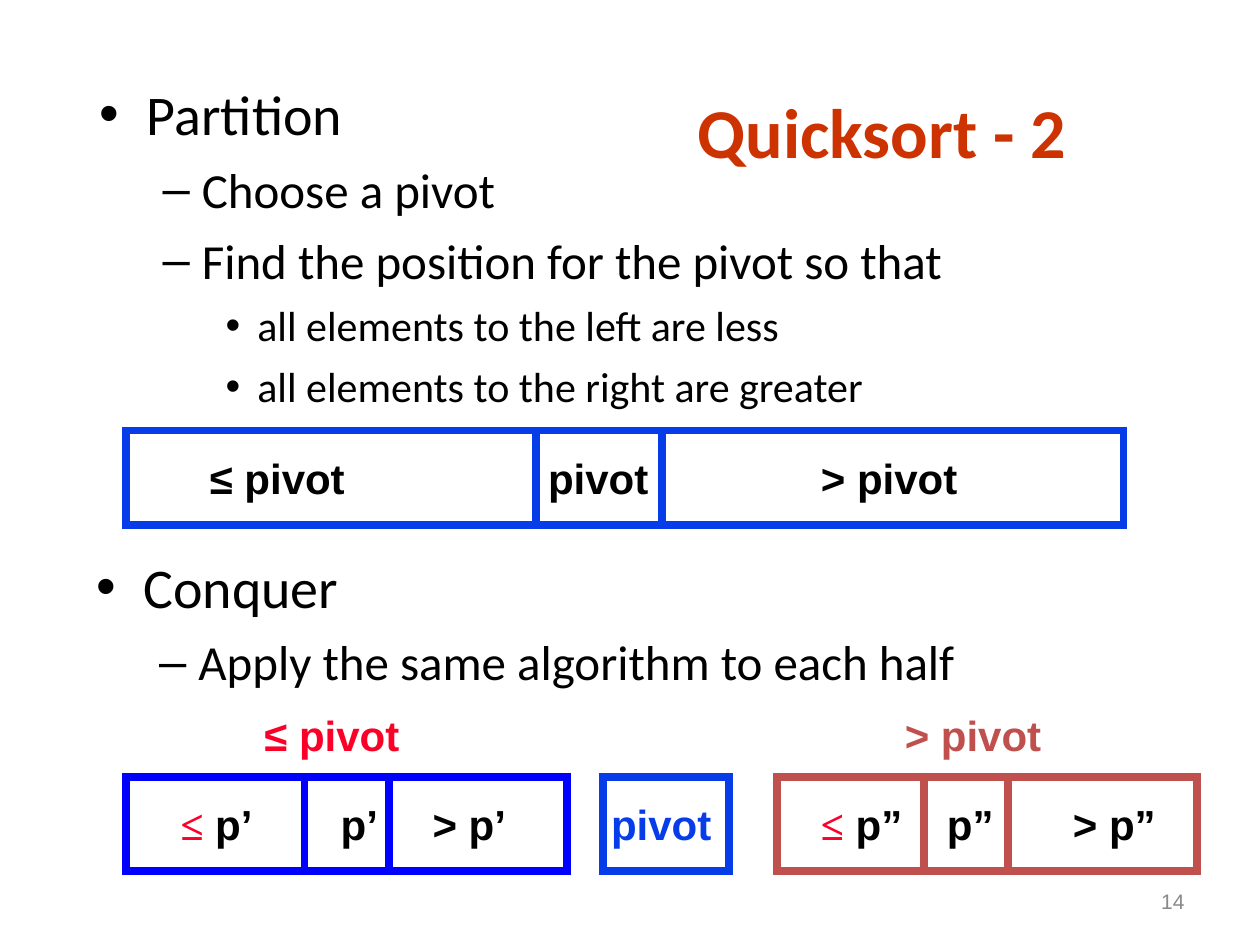
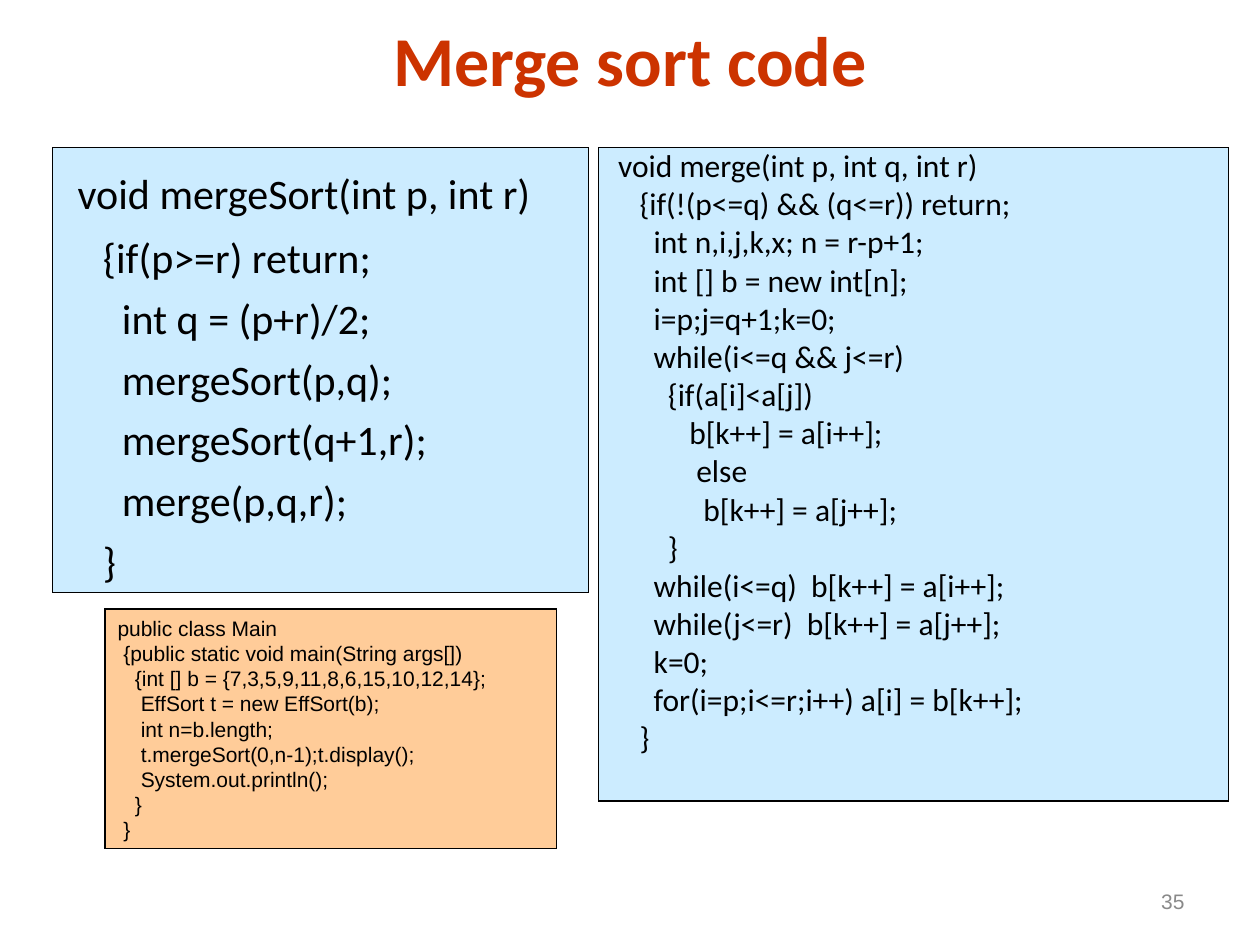
from lxml import etree
from pptx import Presentation
from pptx.dml.color import RGBColor
from pptx.enum.shapes import MSO_SHAPE
from pptx.enum.text import MSO_ANCHOR, PP_ALIGN
from pptx.oxml.ns import qn
from pptx.util import Cm, Pt

RECT = MSO_SHAPE.RECTANGLE
TOP, MIDDLE = MSO_ANCHOR.TOP, MSO_ANCHOR.MIDDLE
LEFT, CENTER, RIGHT = PP_ALIGN.LEFT, PP_ALIGN.CENTER, PP_ALIGN.RIGHT

BLACK = RGBColor(0, 0, 0)
RUST = RGBColor(0xCC, 0x33, 0x00)
BLUE = RGBColor(0x06, 0x3D, 0xE8)
NAVY = RGBColor(0x00, 0x00, 0xFF)
BRICK = RGBColor(0xC0, 0x50, 0x4D)
RED = RGBColor(0xFC, 0x01, 0x28)
GRAY = RGBColor(0x89, 0x89, 0x89)
SKY = RGBColor(0xCC, 0xEC, 0xFF)
PEACH = RGBColor(0xFF, 0xCC, 0x99)

BODY, LABEL, MATH = "Calibri", "Arial", "Times New Roman"
LEVELS = [
    dict(mark="•", size=32, gap=8, inset=0.95, hang=0.95),
    dict(mark="–", size=28, gap=7, inset=2.06, hang=0.79),
    dict(mark="•", size=24, gap=6, inset=3.18, hang=0.64),
]
CELL, DROP, LINE = 1.9, 0.32, 1.27
WIDE, MID, SLIM = 3.6, 2.8, 1.7

SORT = """void mergeSort(int p, int r)
    {if(p>=r) return;
      int q = (p+r)/2;
      mergeSort(p,q);
      mergeSort(q+1,r);
      merge(p,q,r);
    }"""

MERGE = """ void merge(int p, int q, int r)
    {if(!(p<=q) && (q<=r)) return;
      int n,i,j,k,x; n = r-p+1;
      int [] b = new int[n];
      i=p;j=q+1;k=0;
      while(i<=q && j<=r)
        {if(a[i]<a[j])
           b[k++] = a[i++];
            else
             b[k++] = a[j++];
        }
      while(i<=q)  b[k++] = a[i++];
      while(j<=r)  b[k++] = a[j++];
      k=0;
      for(i=p;i<=r;i++) a[i] = b[k++];
    }"""

MAIN = """public class Main
 {public static void main(String args[])
   {int [] b = {7,3,5,9,11,8,6,15,10,12,14};
    EffSort t = new EffSort(b);
    int n=b.length;
    t.mergeSort(0,n-1);t.display();
    System.out.println();
   }
 }"""


def write(frame, text, font=BODY, size=24, color=BLACK, bold=False, align=LEFT,
          gap=0, pitch=None, level=0, mark=None, inset=0, hang=0):
    """Add one paragraph, given as a string or as (string, run format) pairs."""
    first = not frame.paragraphs[0].runs
    para = frame.paragraphs[0] if first else frame.add_paragraph()
    para.alignment, para.level = align, level
    para.space_before = Pt(0 if first else gap)
    if pitch:
        para.line_spacing = pitch
    props = para._p.get_or_add_pPr()
    props.set("marL", str(Cm(inset)))
    props.set("indent", str(-Cm(hang)))
    if mark:
        etree.SubElement(props, qn("a:buFont")).set("typeface", LABEL)
        etree.SubElement(props, qn("a:buChar")).set("char", mark)
    base = dict(font=font, size=size, color=color)
    for part, extra in [(text, {})] if isinstance(text, str) else text:
        look = base | extra
        run = para.add_run()
        run.text = part
        run.font.name, run.font.size = look["font"], Pt(look["size"])
        run.font.color.rgb, run.font.bold = look["color"], bold


class Deck:
    """Hold the deck style and the current slide."""

    def __init__(self):
        """Start an empty deck."""
        self.show = Presentation()
        self.show.slide_width, self.show.slide_height = Cm(25.4), Cm(19.05)

    def page(self, title, number, left, top, width):
        """Add a slide with its title and number."""
        self.slide = self.show.slides.add_slide(self.show.slide_layouts[6])
        frame = self.frame(left, top, width, 1.96, anchor=MIDDLE)
        write(frame, title, size=40, color=RUST, bold=True, align=CENTER)
        frame = self.frame(18.2, 17.66, 5.93, 1.01, anchor=MIDDLE)
        write(frame, str(number), font=LABEL, size=12, color=GRAY, align=RIGHT)

    def frame(self, left, top, width, height, anchor=TOP):
        """Add a text box and return its frame."""
        box = self.slide.shapes.add_textbox(Cm(left), Cm(top), Cm(width), Cm(height))
        box.text_frame.word_wrap = True
        box.text_frame.vertical_anchor = anchor
        return box.text_frame

    def rect(self, left, top, width, height, line, weight, fill=None):
        """Add a sharp-cornered rectangle and return its frame."""
        box = self.slide.shapes.add_shape(RECT, Cm(left), Cm(top), Cm(width), Cm(height))
        box.shadow.inherit = False
        box.line.color.rgb, box.line.width = line, Pt(weight)
        edge = box.line._get_or_add_ln()
        etree.SubElement(edge, qn("a:miter")).set("lim", "800000")
        if fill is None:
            box.fill.background()
        else:
            box.fill.solid()
            box.fill.fore_color.rgb = fill
        box.text_frame.word_wrap = True
        box.text_frame.vertical_anchor = TOP
        return box.text_frame

    def list(self, left, top, width, height, items):
        """Add a bulleted outline of (level, text) items."""
        frame = self.frame(left, top, width, height)
        for level, text in items:
            write(frame, text, level=level, **LEVELS[level])

    def row(self, top, color, *spans):
        """Add array cells, each given as left and width."""
        for left, width in spans:
            self.rect(left, top, width, CELL, color, 4.5)

    def label(self, left, top, width, text, color=BLACK):
        """Add a bold one-line label."""
        frame = self.frame(left, top, width, LINE)
        write(frame, text, font=LABEL, color=color, bold=True)

    def code(self, left, top, width, height, fill, lines, **look):
        """Add a filled box of code lines."""
        frame = self.rect(left, top, width, height, BLACK, 0.75, fill)
        for line in lines:
            write(frame, line, **look)


def quick(deck):
    """Build the quicksort slide."""
    deck.page("Quicksort - 2", 14, 12.28, 1.65, 11)
    deck.list(1.76, 1.48, 21.8, 6.93, [
        (0, "Partition"),
        (1, "Choose a pivot"),
        (1, "Find the position for the pivot so that"),
        (2, "all elements to the left are less"),
        (2, "all elements to the right are greater"),
    ])
    top = 8.68
    deck.row(top, BLUE, (2.54, 20.11), (10.8, 2.54))
    for left, width, text in [(3.98, WIDE, "≤ pivot"), (10.8, MID, "pivot"),
                              (16.3, WIDE, "> pivot")]:
        deck.label(left, top + DROP, width, text)

    deck.list(1.69, 11.01, 21.8, 3.02, [
        (0, "Conquer"),
        (1, "Apply the same algorithm to each half"),
    ])
    deck.label(5.08, 14.18, WIDE, "≤ pivot", RED)
    deck.label(17.99, 14.18, WIDE, "> pivot", BRICK)
    top = 15.66
    deck.row(top, NAVY, (2.54, 8.89), (6.14, 1.7))
    deck.row(top, BLUE, (12.15, 2.54))
    deck.row(top, BRICK, (15.66, 8.47), (18.63, 1.7))
    deck.label(12.07, top + DROP, MID, "pivot", BLUE)
    sign = ("≤", dict(font=MATH, color=RED))
    for name, less, mid, more in [("p’", 3.39, 6.38, 8.47),
                                  ("p”", 16.3, 18.84, 21.38)]:
        shift = 0.24 if name == "p’" else 0
        deck.label(less, top + DROP, MID, [sign, (f" {name}", {})])
        deck.label(mid + shift, top + DROP, SLIM, name)
        deck.label(more, top + DROP, MID, f"> {name}")


def merge(deck):
    """Build the merge sort slide."""
    deck.page("Merge sort code", 35, 1.27, 0.2, 22.86)
    hang = dict(inset=0.95, hang=0.95)
    head, *rest = SORT.splitlines()
    lines = [[(" ", dict(size=32)), (head, {})], *rest]
    deck.code(1.06, 2.97, 10.8, 8.98, SKY, lines, gap=6, **hang)
    deck.code(12.07, 2.97, 12.7, 13.18, SKY, MERGE.splitlines(),
              size=18, gap=4.5, pitch=0.8, **hang)
    deck.code(2.12, 12.28, 9.1, 4.83, PEACH, MAIN.splitlines(), font=LABEL, size=12)


def main():
    """Build and save the deck."""
    deck = Deck()
    quick(deck)
    merge(deck)
    deck.show.save("out.pptx")


if __name__ == "__main__":
    main()
